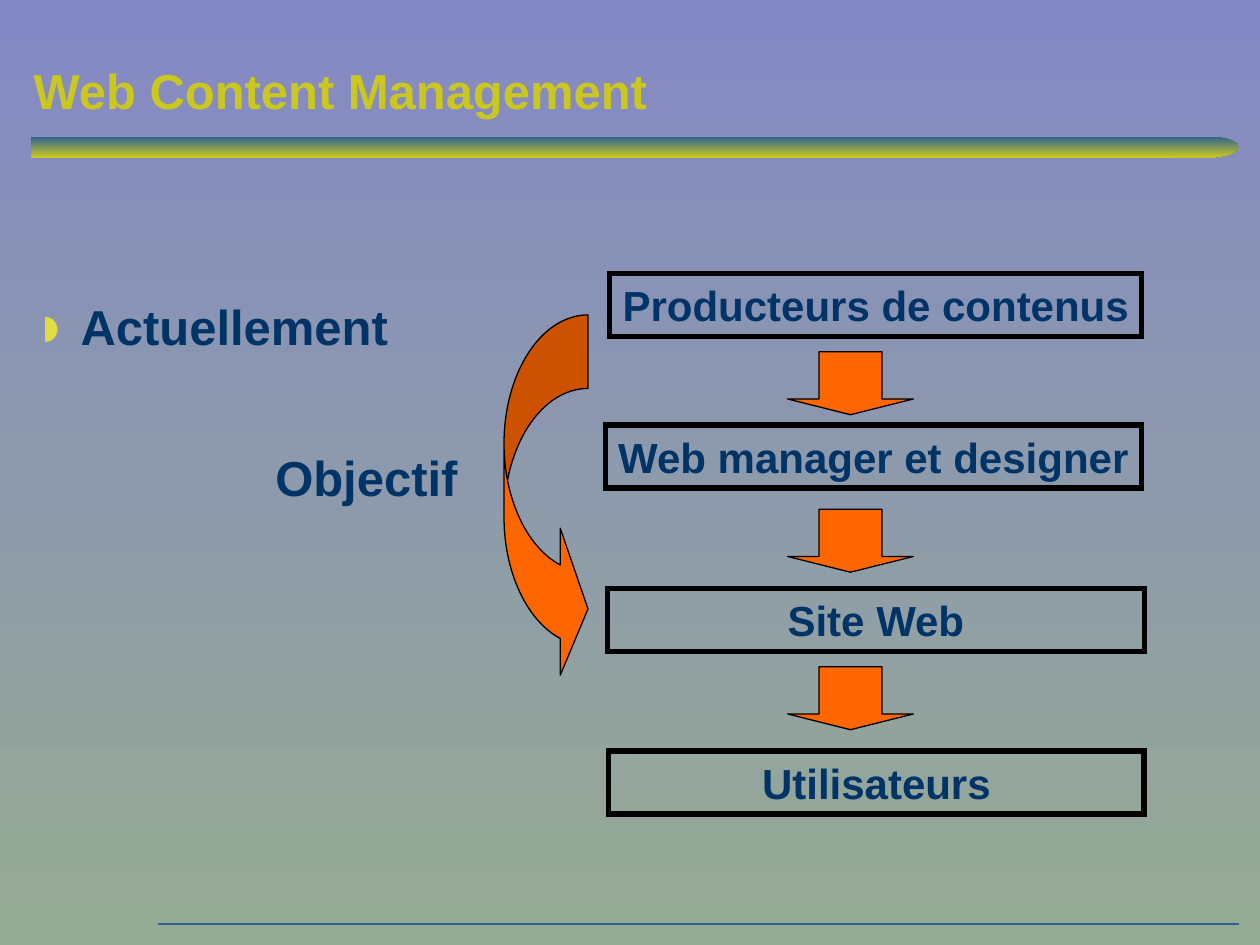
from lxml import etree
from pptx import Presentation
from pptx.dml.color import RGBColor
from pptx.enum import shapes, text
from pptx.oxml import ns
from pptx.util import Pt

NAVY = RGBColor(0x00, 0x33, 0x66)
GOLD = RGBColor(0xCB, 0xC7, 0x21)
BLUE = RGBColor(0x2D, 0x61, 0x91)
ORANGE = RGBColor(0xFF, 0x66, 0x00)
BLACK = RGBColor(0, 0, 0)
SKY = RGBColor(0x84, 0x88, 0xC4)
SAGE = RGBColor(0x96, 0xAB, 0x94)
FONT = "Arial"
KIND = shapes.MSO_SHAPE

# Content: label, left, top, width
TITLE = "Web Content Management"
STEPS = [
    ("Producteurs de contenus", 348.5, 156.2, 304),
    ("Web manager et designer", 346, 242.9, 306.2),
    ("Site Web", 347.2, 336.2, 306.7),
    ("Utilisateurs", 347.8, 429.2, 306),
]
BOX_H = 36
BAR = [(KIND.RECTANGLE, 18, 654), (KIND.FLOWCHART_DELAY, 671, 37)]
ARROW_TOP, ARROW_GAP = 201, 90

prs = Presentation()
prs.slide_width, prs.slide_height = Pt(720), Pt(540)
slide = prs.slides.add_slide(prs.slide_layouts[5])


def fade(fill, top, low):
    fill.gradient()
    fill.gradient_angle = 270
    for stop, color in zip(fill.gradient_stops, (top, low)):
        stop.color.rgb = color


def add(kind, *box):
    shape = slide.shapes.add_shape(kind, *map(Pt, box))
    shape.shadow.inherit = False
    return shape


def arrow(kind, adjs, *box):
    shape = add(kind, *box)
    for i, value in enumerate(adjs):
        shape.adjustments[i] = value
    shape.fill.solid()
    shape.fill.fore_color.rgb = ORANGE
    shape.line.color.rgb = BLACK
    shape.line.width = Pt(0.75)


def write(shape, words, size, color=NAVY, align=text.PP_ALIGN.LEFT, wrap=False):
    frame = shape.text_frame
    frame.text = words
    frame.word_wrap = wrap
    para = frame.paragraphs[0]
    para.alignment = align
    font = para.runs[0].font
    font.name, font.size, font.bold = FONT, Pt(size), True
    font.color.rgb = color
    return para


def label(words, *box):
    shape = slide.shapes.add_textbox(*map(Pt, box))
    return write(shape, words, 28, wrap=True)


# Background, footer line and title bar
fade(slide.background.fill, SKY, SAGE)
rule = slide.shapes.add_connector(
    shapes.MSO_CONNECTOR.STRAIGHT, Pt(90), Pt(528), Pt(708), Pt(528))
rule.line.color.rgb = BLUE
rule.line.width = Pt(0.75)
etree.SubElement(rule._element.spPr, ns.qn("a:effectLst"))
for kind, left, width in BAR:
    part = add(kind, left, 78, width, 12)
    fade(part.fill, BLUE, GOLD)
    part.line.fill.background()

# Title
title = slide.shapes.title
title.left, title.top, title.width, title.height = map(Pt, (12, 12, 696, 60))
write(title, TITLE, 28, GOLD, wrap=True).line_spacing = 0.9
title.text_frame.vertical_anchor = text.MSO_ANCHOR.BOTTOM

# Bulleted label
props = label("Actuellement", 12, 166, 260, 40)._p.get_or_add_pPr()
props.set("marL", str(Pt(27)))
props.set("indent", str(-Pt(27)))
color = etree.SubElement(props, ns.qn("a:buClr"))
etree.SubElement(color, ns.qn("a:srgbClr"), val="E0DC42")
etree.SubElement(props, ns.qn("a:buSzPct"), val="120000")
etree.SubElement(props, ns.qn("a:buFont"), typeface=FONT)
etree.SubElement(props, ns.qn("a:buChar"), char="◗")

# Steps, with square corners
for words, left, top, width in STEPS:
    box = add(KIND.RECTANGLE, left, top, width, BOX_H)
    box.fill.background()
    box.line.color.rgb = BLACK
    box.line.width = Pt(3)
    edge = box._element.spPr.find(ns.qn("a:ln"))
    etree.SubElement(edge, ns.qn("a:miter"), lim="800000")
    write(box, words, 24, align=text.PP_ALIGN.CENTER)

# Arrows between the steps
for i in range(len(STEPS) - 1):
    arrow(KIND.DOWN_ARROW, (0.5, 0.25), 450, ARROW_TOP + i * ARROW_GAP, 72, 36)

# Objective and its shortcut arrow
label("Objectif", 150.3, 252, 130, 41)
arrow(KIND.CURVED_RIGHT_ARROW, (0.875, 1.75, 0.33), 288, 180, 48, 210)

prs.save("out.pptx")
